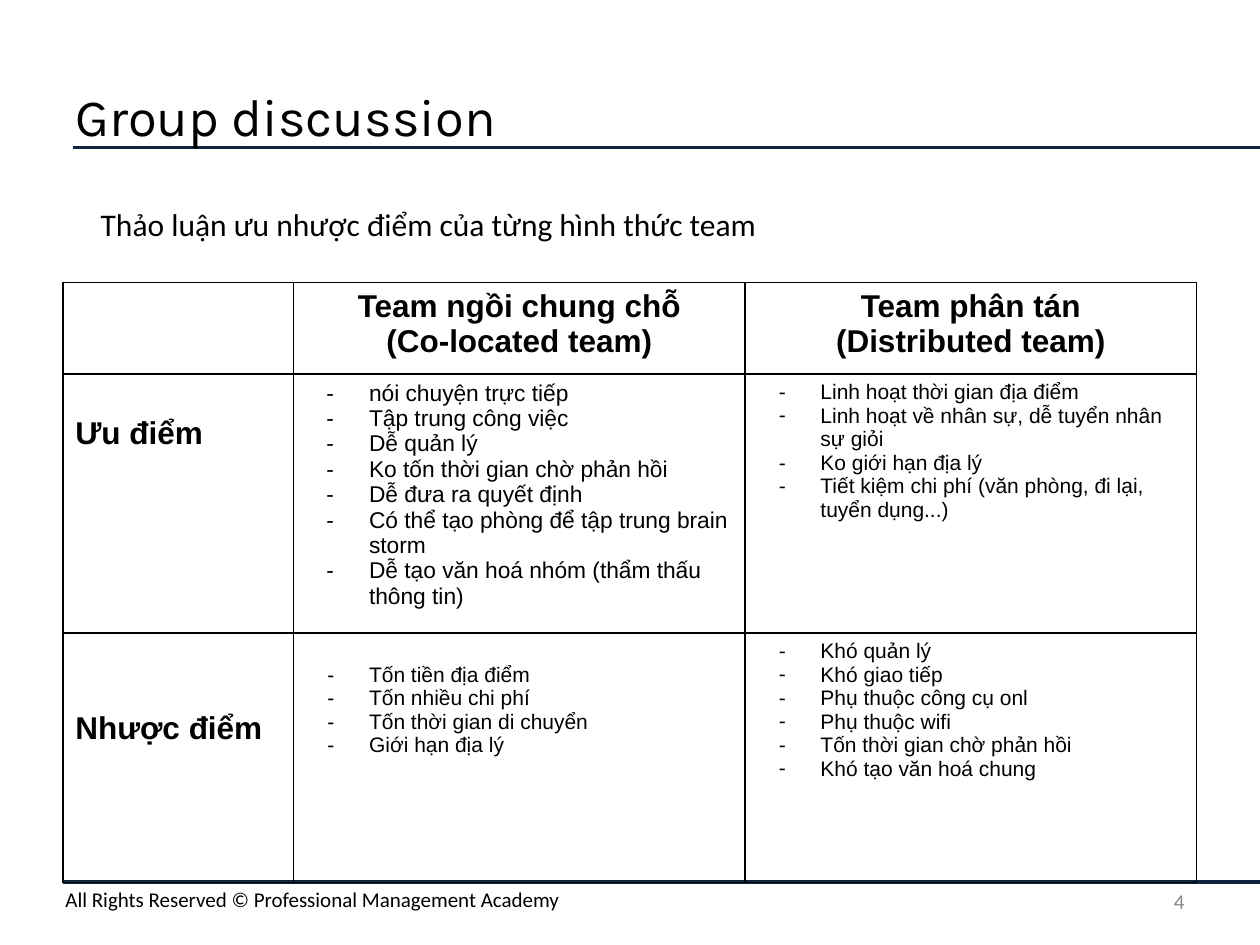
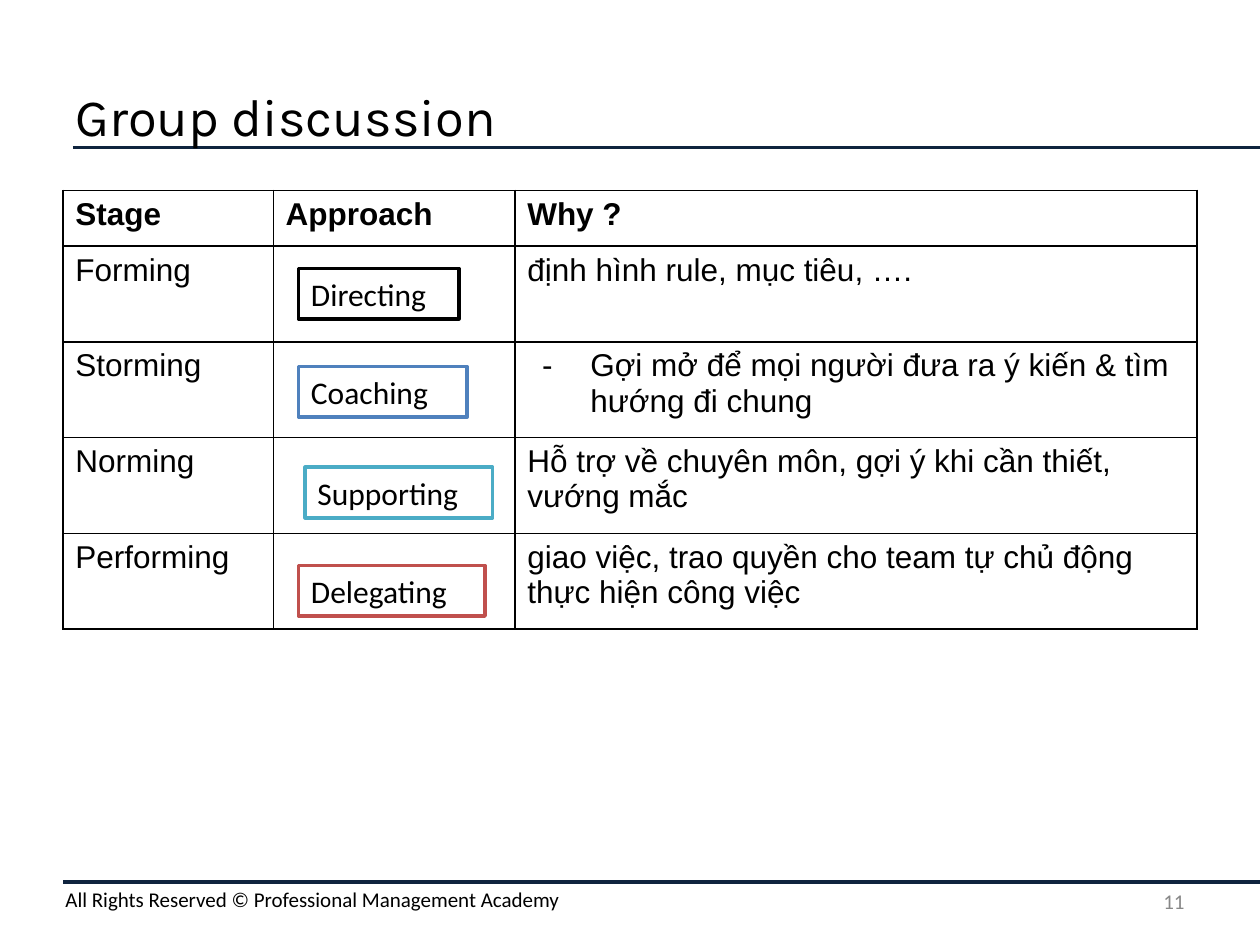
from lxml.etree import SubElement
from pptx import Presentation
from pptx.dml.color import RGBColor
from pptx.enum.shapes import MSO_CONNECTOR, MSO_SHAPE
from pptx.enum.text import MSO_ANCHOR, PP_ALIGN
from pptx.oxml.ns import qn
from pptx.util import Cm, Pt

COLORS = {
    "rule": "0F243E", "text": "000000", "muted": "888888", "paper": "FFFFFF",
    "blue": "4F81BD", "teal": "4BACC6", "red": "C0504D",
}
PAGE_WIDTH, PAGE_HEIGHT = 25.4, 19.05
LEFT = 1.27
INSET_X, INSET_Y = 0.25, 0.13


def rgb(name):
    return RGBColor.from_string(COLORS[name])


class Deck:
    """Shared style and the slide being built; positions are in centimetres."""

    def __init__(self):
        self.prs = Presentation()
        self.prs.slide_width, self.prs.slide_height = Cm(PAGE_WIDTH), Cm(PAGE_HEIGHT)
        self.slide = None

    def new_slide(self, title, number):
        self.slide = self.prs.slides.add_slide(self.prs.slide_layouts[6])
        self.rule(1.47, 2.97)
        self.rule(LEFT, 17.78)
        self.text("All Rights Reserved © Professional Management Academy",
                  1.07, 17.75, 24.33, 0.76, size=12)
        self.text(title, LEFT, 1.27, 22.86, 2.11, size=30, font="Karla",
                  anchor=MSO_ANCHOR.MIDDLE)
        self.text(str(number), 18.21, 17.65, 5.92, 1.02, size=12, color="muted",
                  align=PP_ALIGN.RIGHT, anchor=MSO_ANCHOR.MIDDLE)

    def rule(self, left, top):
        line = self.slide.shapes.add_connector(
            MSO_CONNECTOR.STRAIGHT, Cm(left), Cm(top), Cm(PAGE_WIDTH), Cm(top))
        line.line.color.rgb = rgb("rule")
        line.line.width = Pt(2)
        SubElement(line._element.spPr, qn("a:effectLst"))

    def format_text(self, frame, size, font="Calibri", color="text", bold=False,
                    align=PP_ALIGN.LEFT):
        for paragraph in frame.paragraphs:
            paragraph.alignment = align
            for run in paragraph.runs:
                run.font.size, run.font.name, run.font.bold = Pt(size), font, bold
                run.font.color.rgb = rgb(color)

    def fill_frame(self, frame, words, anchor=MSO_ANCHOR.TOP, **style):
        frame.text = words
        frame.word_wrap = True
        frame.vertical_anchor = anchor
        frame.margin_left = frame.margin_right = Cm(INSET_X)
        frame.margin_top = frame.margin_bottom = Cm(INSET_Y)
        self.format_text(frame, **style)

    def text(self, words, left, top, width, height, **style):
        box = self.slide.shapes.add_textbox(Cm(left), Cm(top), Cm(width), Cm(height))
        self.fill_frame(box.text_frame, words, **style)

    def label(self, words, left, top, width, outline):
        box = self.slide.shapes.add_shape(
            MSO_SHAPE.RECTANGLE, Cm(left), Cm(top), Cm(width), Cm(1.02))
        box.shadow.inherit = False
        box.fill.solid()
        box.fill.fore_color.rgb = rgb("paper")
        box.line.color.rgb = rgb(outline)
        box.line.width = Pt(2)
        self.fill_frame(box.text_frame, words, size=18)

    def table(self, top, columns, rows):
        grid = self.slide.shapes.add_table(
            len(rows), len(columns), Cm(LEFT), Cm(top),
            Cm(sum(columns)), Cm(sum(rows))).table
        grid.first_row = grid.horz_banding = False
        for column, width in zip(grid.columns, columns):
            column.width = Cm(width)
        for row, height in zip(grid.rows, rows):
            row.height = Cm(height)
        for cell in grid.iter_cells():
            self.border(cell)
            cell.fill.background()
        return grid

    def border(self, cell):
        properties = cell._tc.get_or_add_tcPr()
        for side in ("a:lnL", "a:lnR", "a:lnT", "a:lnB"):
            line = SubElement(properties, qn(side), w=str(Pt(1)))
            fill = SubElement(line, qn("a:solidFill"))
            SubElement(fill, qn("a:srgbClr"), val=COLORS["text"])

    def cell(self, cell, words, size=18, drop=0, hanging=0, **style):
        """Write a cell; drop lowers its text, hanging sets a dash list."""
        cell.text = words
        cell.margin_left = cell.margin_right = Cm(INSET_X)
        cell.margin_top, cell.margin_bottom = Cm(INSET_Y + drop), Cm(INSET_Y)
        if hanging:
            for paragraph in cell.text_frame.paragraphs:
                self.dash(paragraph, hanging)
        self.format_text(cell.text_frame, size, font="Arial", **style)

    def dash(self, paragraph, hanging):
        properties = paragraph._p.get_or_add_pPr()
        properties.set("marL", str(Cm(1.27)))
        properties.set("indent", str(-Cm(hanging)))
        color = SubElement(properties, qn("a:buClr"))
        SubElement(color, qn("a:srgbClr"), val=COLORS["text"])
        SubElement(properties, qn("a:buFont"), typeface="Arial")
        SubElement(properties, qn("a:buChar"), char="-")


def team_forms(deck):
    deck.new_slide("Group discussion", 4)
    deck.text("Thảo luận ưu nhược điểm của từng hình thức team",
              1.78, 4.01, 15.14, 1.02, size=18)
    comparison = deck.table(5.69, [4.65, 9.1, 9.1], [1.85, 4.85, 5.03])

    # Headings
    teams = ["Team ngồi chung chỗ\n(Co-located team)",
             "Team phân tán\n(Distributed team)"]
    for column, team in enumerate(teams, 1):
        deck.cell(comparison.cell(0, column), team, bold=True, align=PP_ALIGN.CENTER)
    for row, (aspect, drop) in enumerate([("Ưu điểm", 0.72), ("Nhược điểm", 1.44)], 1):
        deck.cell(comparison.cell(row, 0), aspect, drop=drop, bold=True)

    # Pros and cons: row, column, size, drop, hanging indent, points
    points = [
        (1, 1, 13, 0, 0.86, [
            "nói chuyện trực tiếp", "Tập trung công việc", "Dễ quản lý",
            "Ko tốn thời gian chờ phản hồi", "Dễ đưa ra quyết định",
            "Có thể tạo phòng để tập trung brain storm",
            "Dễ tạo văn hoá nhóm (thẩm thấu thông tin)"]),
        (1, 2, 12, 0, 0.84, [
            "Linh hoạt thời gian địa điểm",
            "Linh hoạt về nhân sự, dễ tuyển nhân sự giỏi", "Ko giới hạn địa lý",
            "Tiết kiệm chi phí (văn phòng, đi lại, tuyển dụng...)"]),
        (2, 1, 12, 0.48, 0.84, [
            "Tốn tiền địa điểm", "Tốn nhiều chi phí", "Tốn thời gian di chuyển",
            "Giới hạn địa lý"]),
        (2, 2, 12, 0, 0.84, [
            "Khó quản lý", "Khó giao tiếp", "Phụ thuộc công cụ onl",
            "Phụ thuộc wifi", "Tốn thời gian chờ phản hồi",
            "Khó tạo văn hoá chung"]),
    ]
    for row, column, size, drop, hanging, lines in points:
        deck.cell(comparison.cell(row, column), "\n".join(lines), size, drop, hanging)


def team_stages(deck):
    deck.new_slide("Group discussion", 11)
    stages = [
        ("Forming", "định hình rule, mục tiêu, ….", 0),
        ("Storming", "Gợi mở để mọi người đưa ra ý kiến & tìm hướng đi chung", 0.97),
        ("Norming", "Hỗ trợ về chuyên môn, gợi ý khi cần thiết, vướng mắc", 0),
        ("Performing",
         "giao việc, trao quyền cho team tự chủ động thực hiện công việc", 0),
    ]
    plan = deck.table(3.84, [4.24, 4.87, 13.75], [1.12] + [1.93] * len(stages))
    for column, heading in enumerate(["Stage", "Approach", "Why ?"]):
        deck.cell(plan.cell(0, column), heading, bold=True)
    for row, (stage, reason, hanging) in enumerate(stages, 1):
        deck.cell(plan.cell(row, 0), stage)
        deck.cell(plan.cell(row, 2), reason, hanging=hanging)

    # Approach labels over the middle column
    approaches = [
        ("Directing", 6.02, 5.41, 3.23, "text"),
        ("Coaching", 6.02, 7.39, 3.4, "blue"),
        ("Supporting", 6.15, 9.42, 3.78, "teal"),
        ("Delegating", 6.02, 11.4, 3.76, "red"),
    ]
    for approach in approaches:
        deck.label(*approach)


def main():
    deck = Deck()
    team_forms(deck)
    team_stages(deck)
    deck.prs.save("out.pptx")


if __name__ == "__main__":
    main()
